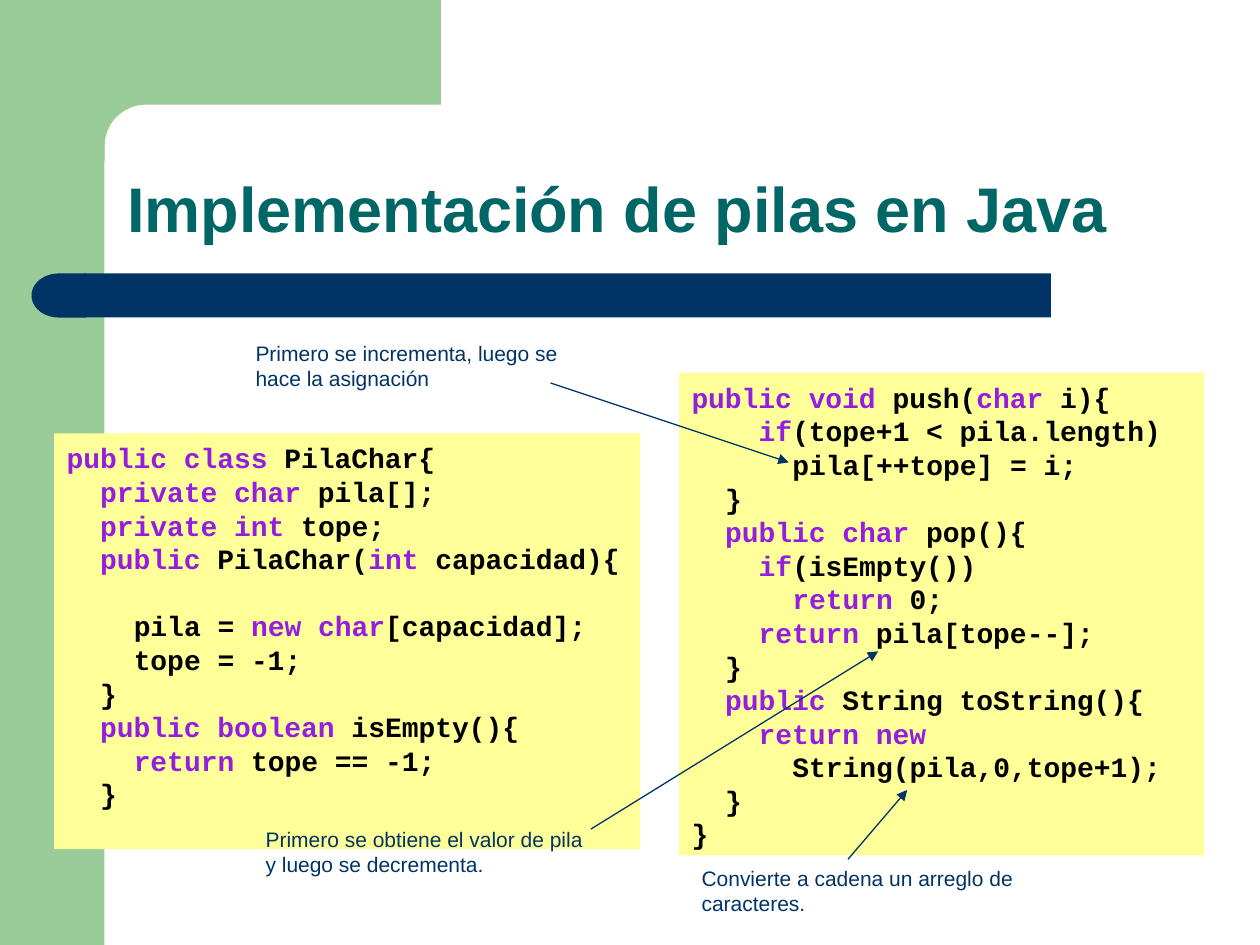
from dataclasses import dataclass
from math import cos, pi, sin
from typing import Any

from lxml.etree import SubElement
from pptx import Presentation
from pptx.dml.color import RGBColor
from pptx.enum.shapes import MSO_CONNECTOR, MSO_SHAPE
from pptx.enum.text import MSO_ANCHOR, MSO_AUTO_SIZE, PP_ALIGN
from pptx.oxml.ns import qn
from pptx.util import Inches, Pt


@dataclass(frozen=True)
class Theme:
    green: str = "99CC99"
    navy: str = "003366"
    teal: str = "006666"
    yellow: str = "FFFF99"
    purple: str = "941EDF"
    black: str = "000000"
    sans: str = "Arial"
    mono: str = "Courier New"
    title: float = 36
    code: float = 16
    note: float = 12
    line: float = 19.2
    step: float = 9.6


@dataclass(frozen=True)
class Box:
    left: float
    top: float
    width: float
    height: float

    def place(self) -> tuple:
        return tuple(Inches(v) for v in (self.left, self.top, self.width, self.height))


@dataclass(frozen=True)
class Code:
    box: Box
    text: str


@dataclass(frozen=True)
class Note:
    box: Box
    text: str
    start: tuple[float, float]
    end: tuple[float, float]


THEME = Theme()
FRAME = {
    "word_wrap": True,
    "auto_size": MSO_AUTO_SIZE.NONE,
    "margin_left": Inches(0.1),
    "margin_right": Inches(0.1),
    "margin_top": Inches(0.05),
    "margin_bottom": Inches(0.05),
    "vertical_anchor": MSO_ANCHOR.TOP,
}
TITLE_FONT = {"name": THEME.sans, "size": Pt(THEME.title), "bold": True}
CODE_FONT = {"name": THEME.mono, "size": Pt(THEME.code), "bold": True}
NOTE_FONT = {"name": THEME.sans, "size": Pt(THEME.note), "bold": False}

CLASS = """*public class* PilaChar{
  *private char* pila[];
  *private int* tope;
  *public* PilaChar(*int* capacidad){

    pila = *new char*[capacidad];
    tope = -1;
  }
  *public boolean* isEmpty(){
    *return* tope == -1;
  }"""
METHODS = """*public void* push(*char* i){
    *if*(tope+1 < pila.length)
      pila[++tope] = i;
  }
  *public char* pop(){
    *if*(isEmpty())
      *return* 0;
    *return* pila[tope--];
  }
  *public* String toString(){
    *return new*
      String(pila,0,tope+1);
  }
}"""

CODES = [
    Code(Box(0.43, 3.44, 4.65, 3.3), CLASS),
    Code(Box(5.39, 2.96, 4.17, 3.83), METHODS),
]
NOTES = [
    Note(Box(1.93, 2.65, 2.76, 0.5),
         "Primero se incrementa, luego se hace la asignación", (4.37, 3.04), (6.26, 3.67)),
    Note(Box(2.01, 6.51, 2.76, 0.5),
         "Primero se obtiene el valor de pila y luego se decrementa.", (4.69, 6.58), (6.97, 5.17)),
    Note(Box(5.47, 6.82, 2.76, 0.5),
         "Convierte a cadena un arreglo de caracteres.", (6.73, 6.82), (7.2, 6.27)),
]


def apply(item: Any, values: dict[str, Any]) -> None:
    for key, value in values.items():
        setattr(item, key, value)


def paint(shape: Any, color: str) -> None:
    shape.shadow.inherit = False
    shape.fill.solid()
    shape.fill.fore_color.rgb = RGBColor.from_string(color)
    shape.line.fill.background()


def add_run(para: Any, text: str, font: dict[str, Any], color: str) -> None:
    run = para.add_run()
    run.text = text
    apply(run.font, font)
    run.font.color.rgb = RGBColor.from_string(color)


def add_block(slide: Any, kind: MSO_SHAPE, box: Box, color: str) -> Any:
    shape = slide.shapes.add_shape(kind, *box.place())
    paint(shape, color)
    return shape


def add_corner(slide: Any) -> None:
    center, radius, steps = 1.16, 0.33, 12
    turns = [pi / 2 * n / steps for n in range(steps + 1)]
    curve = [(center - radius * sin(t), center - radius * cos(t)) for t in turns]
    points = [(3.5, 0), (3.5, 0.83), *curve, (0.83, 1.28), (0.5, 1.28)]
    path = slide.shapes.build_freeform(Inches(0.5), 0)
    path.add_line_segments([(Inches(x), Inches(y)) for x, y in points], close=True)
    paint(path.convert_to_shape(), THEME.green)


def add_title(slide: Any, box: Box, text: str) -> None:
    title = slide.shapes.title
    apply(title, dict(zip(("left", "top", "width", "height"), box.place())))
    apply(title.text_frame, FRAME | {"vertical_anchor": MSO_ANCHOR.BOTTOM})
    para = title.text_frame.paragraphs[0]
    apply(para, {"alignment": PP_ALIGN.LEFT, "line_spacing": 0.9})
    add_run(para, text, TITLE_FONT, THEME.teal)


def add_code(slide: Any, code: Code) -> None:
    frame = add_block(slide, MSO_SHAPE.RECTANGLE, code.box, THEME.yellow).text_frame
    apply(frame, FRAME | {"margin_top": Inches(0.06)})
    para, gap = None, 0
    for line in code.text.splitlines():
        words = line.lstrip()
        if not words:
            gap += THEME.line
            continue
        para = frame.add_paragraph() if para else frame.paragraphs[0]
        apply(para, {"alignment": PP_ALIGN.LEFT, "line_spacing": Pt(THEME.line),
                     "space_before": Pt(gap)})
        indent = Pt(THEME.step * (len(line) - len(words)))
        para._p.get_or_add_pPr().set("marL", str(int(indent)))
        gap = 0
        for n, part in enumerate(words.split("*")):
            if part:
                add_run(para, part, CODE_FONT, THEME.purple if n % 2 else THEME.black)


def add_note(slide: Any, note: Note) -> None:
    frame = slide.shapes.add_textbox(*note.box.place()).text_frame
    apply(frame, FRAME)
    add_run(frame.paragraphs[0], note.text, NOTE_FONT, THEME.navy)
    ends = [Inches(v) for v in (*note.start, *note.end)]
    arrow = slide.shapes.add_connector(MSO_CONNECTOR.STRAIGHT, *ends)
    arrow.line.width = Pt(0.75)
    arrow.line.color.rgb = RGBColor.from_string(THEME.navy)
    SubElement(arrow.line._get_or_add_ln(), qn("a:tailEnd"), type="triangle")
    SubElement(arrow._element.spPr, qn("a:effectLst"))


def main() -> None:
    deck = Presentation()
    apply(deck, {"slide_width": Inches(10), "slide_height": Inches(7.5)})
    slide = deck.slides.add_slide(deck.slide_layouts[5])
    add_block(slide, MSO_SHAPE.RECTANGLE, Box(0, 0, 0.83, 7.5), THEME.green)
    add_corner(slide)
    add_block(slide, MSO_SHAPE.RECTANGLE, Box(0.67, 2.17, 7.67, 0.35), THEME.navy)
    cap = add_block(slide, MSO_SHAPE.FLOWCHART_DELAY, Box(0.25, 2.17, 0.43, 0.35), THEME.navy)
    cap.rotation = 180
    add_title(slide, Box(0.91, 0.91, 8.51, 1.09), "Implementación de pilas en Java")
    for code in CODES:
        add_code(slide, code)
    for note in NOTES:
        add_note(slide, note)
    deck.save("out.pptx")


if __name__ == "__main__":
    main()
